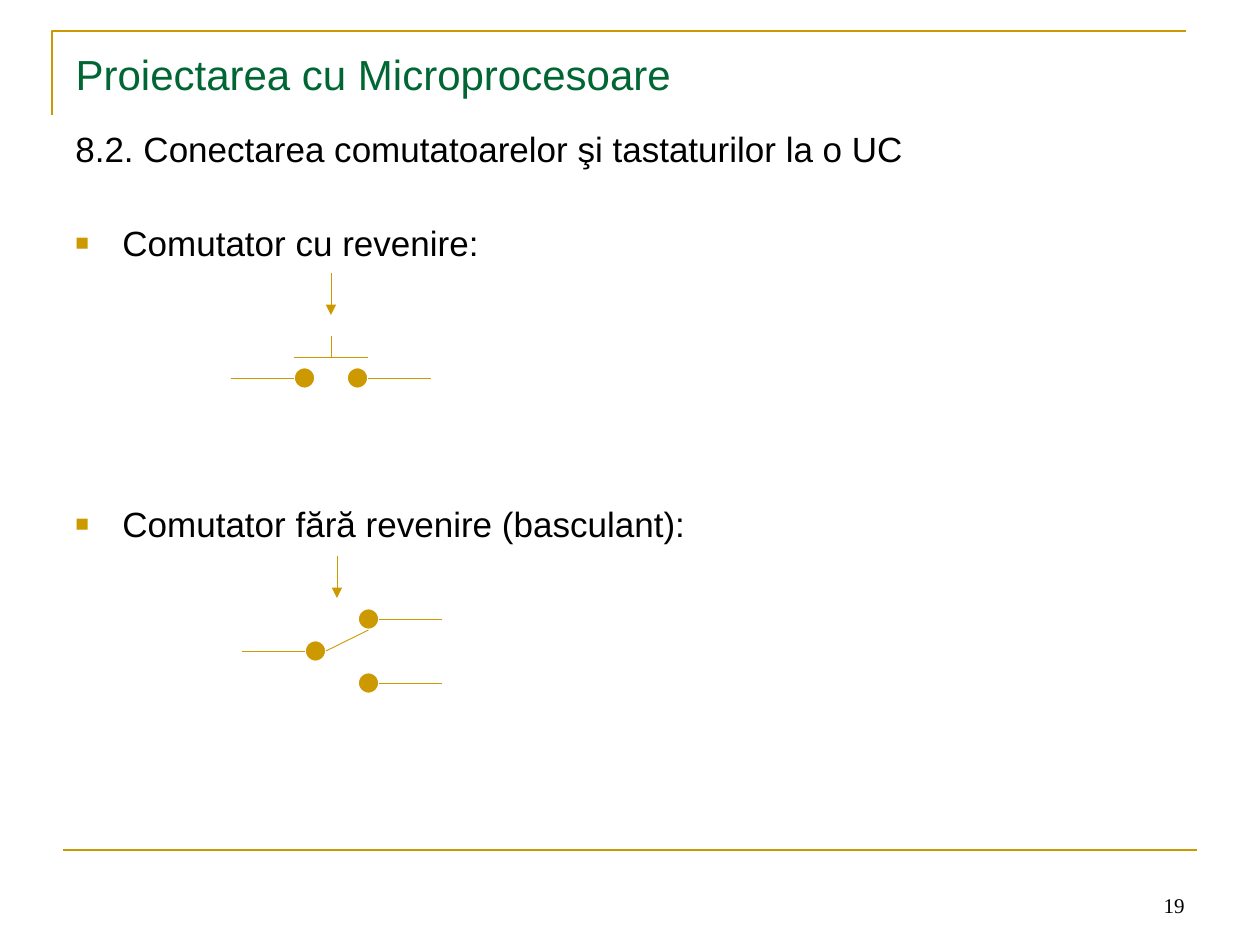
from lxml.etree import SubElement
from pptx import Presentation
from pptx.dml.color import RGBColor
from pptx.enum.shapes import MSO_CONNECTOR, MSO_SHAPE
from pptx.enum.text import MSO_ANCHOR, PP_ALIGN
from pptx.oxml.ns import qn
from pptx.util import Emu, Pt

COLORS = {
    "gold": "CC9900",
    "green": "006633",
    "text": "000000",
    "paper": "FFFFFF",
}
PX_PER_INCH = 126
CONTACT = 21  # diameter of a switch contact
LEAD = 63  # length of a wire


def px(length):
    return Emu(round(length * 914400 / PX_PER_INCH))


def color(name):
    return RGBColor.from_string(COLORS[name])


def set_font(paragraph, size, color_name, face="Arial"):
    paragraph.font.size = Pt(size)
    paragraph.font.name = face
    paragraph.font.color.rgb = color(color_name)


def add_line(slide, x1, y1, x2, y2, width=0.5, arrow=False):
    line = slide.shapes.add_connector(
        MSO_CONNECTOR.STRAIGHT, px(x1), px(y1), px(x2), px(y2))
    line.line.color.rgb = color("gold")
    line.line.width = Pt(width)
    if arrow:
        SubElement(line.line._get_or_add_ln(), qn("a:tailEnd"), type="triangle")
    SubElement(line._element.spPr, qn("a:effectLst"))


def add_contact(slide, left, center_y):
    contact = slide.shapes.add_shape(
        MSO_SHAPE.OVAL, px(left), px(center_y - CONTACT / 2),
        px(CONTACT), px(CONTACT))
    contact.shadow.inherit = False
    contact.fill.solid()
    contact.fill.fore_color.rgb = color("gold")
    contact.line.color.rgb = color("paper")
    contact.line.width = Pt(1)


def add_frame(slide, left, top, width, height):
    # Corner bracket around the title
    builder = slide.shapes.build_freeform(px(left), px(top + height))
    builder.add_line_segments(
        [(px(left), px(top)), (px(left + width), px(top))], close=False)
    bracket = builder.convert_to_shape()
    bracket.shadow.inherit = False
    bracket.fill.background()
    bracket.line.color.rgb = color("gold")
    bracket.line.width = Pt(1.5)


def add_title(slide, left, top, width, height):
    title = slide.shapes.title
    title.left, title.top = px(left), px(top)
    title.width, title.height = px(width), px(height)
    frame = title.text_frame
    frame.text = "Proiectarea cu Microprocesoare"
    frame.vertical_anchor = MSO_ANCHOR.TOP
    frame.margin_top = px(10)
    paragraph = frame.paragraphs[0]
    paragraph.alignment = PP_ALIGN.LEFT
    set_font(paragraph, 24, "green")


def add_body(slide, left, top, width, height):
    frame = slide.shapes.add_textbox(
        px(left), px(top), px(width), px(height)).text_frame
    frame.word_wrap = True
    lines = [  # text, space before in points, bulleted
        ("8.2. Conectarea comutatoarelor şi tastaturilor la o UC", 0, False),
        ("Comutator cu revenire:", 32, True),
        ("Comutator fără revenire (basculant):", 139, True),
    ]
    for index, (text, space, bulleted) in enumerate(lines):
        paragraph = frame.add_paragraph() if index else frame.paragraphs[0]
        paragraph.text = text
        paragraph.line_spacing = 0.9
        paragraph.space_before = Pt(space)
        if bulleted:
            add_bullet(paragraph)
        set_font(paragraph, 20, "text")


def add_bullet(paragraph):
    props = paragraph._p.get_or_add_pPr()
    props.set("marL", str(px(47)))
    props.set("indent", str(-px(47)))
    bullet_color = SubElement(props, qn("a:buClr"))
    SubElement(bullet_color, qn("a:srgbClr"), val=COLORS["gold"])
    SubElement(props, qn("a:buSzPct"), val="65000")
    SubElement(props, qn("a:buFont"), typeface="Arial")
    SubElement(props, qn("a:buChar"), char="■")


def add_push_switch(slide, left, top):
    wire_y = top + 105
    first, second = left + LEAD, left + 116
    end = second + CONTACT
    middle = (first + end) / 2
    # Contacts and wires
    for contact in (first, second):
        add_contact(slide, contact, wire_y)
    for start in (left, end):
        add_line(slide, start, wire_y, start + LEAD, wire_y)
    # Button and pressing direction
    add_line(slide, first, wire_y - 21, end, wire_y - 21)
    add_line(slide, middle, wire_y - 42, middle, wire_y - 21)
    add_line(slide, middle, top, middle, top + 42, arrow=True)


def add_toggle_switch(slide, left, top):
    input_y = top + 95
    pivot, output = left + LEAD, left + 116
    # Input contact, then the two outputs
    add_contact(slide, pivot, input_y)
    add_line(slide, left, input_y, pivot, input_y)
    for output_y in (input_y - 32, input_y + 32):
        add_contact(slide, output, output_y)
        add_line(slide, output + CONTACT, output_y,
                 output + CONTACT + LEAD, output_y)
    # Lever and pressing direction
    add_line(slide, pivot + CONTACT, input_y, output + CONTACT / 2, input_y - 21)
    add_line(slide, left + 95, top, left + 95, top + 42, arrow=True)


def add_footer(slide, left, top, width):
    add_line(slide, left, top, left + width, top, width=1.5)
    # Slide number
    frame = slide.shapes.add_textbox(
        px(left + width - 294), px(top + 11), px(294), px(63)).text_frame
    frame.word_wrap = True
    frame.vertical_anchor = MSO_ANCHOR.BOTTOM
    number = frame.paragraphs[0]
    number.text = "19"
    number.alignment = PP_ALIGN.RIGHT
    set_font(number, 12, "text", "Times New Roman")


def main():
    presentation = Presentation()
    presentation.slide_width, presentation.slide_height = px(1260), px(945)
    slide = presentation.slides.add_slide(presentation.slide_layouts[5])
    add_frame(slide, 52, 31, 1134, 84)
    add_footer(slide, 63, 850, 1134)
    add_title(slide, 63, 38, 1134, 77)
    add_body(slide, 63, 126, 1134, 735)
    add_push_switch(slide, 231, 273)
    add_toggle_switch(slide, 242, 556)
    presentation.save("out.pptx")


if __name__ == "__main__":
    main()
